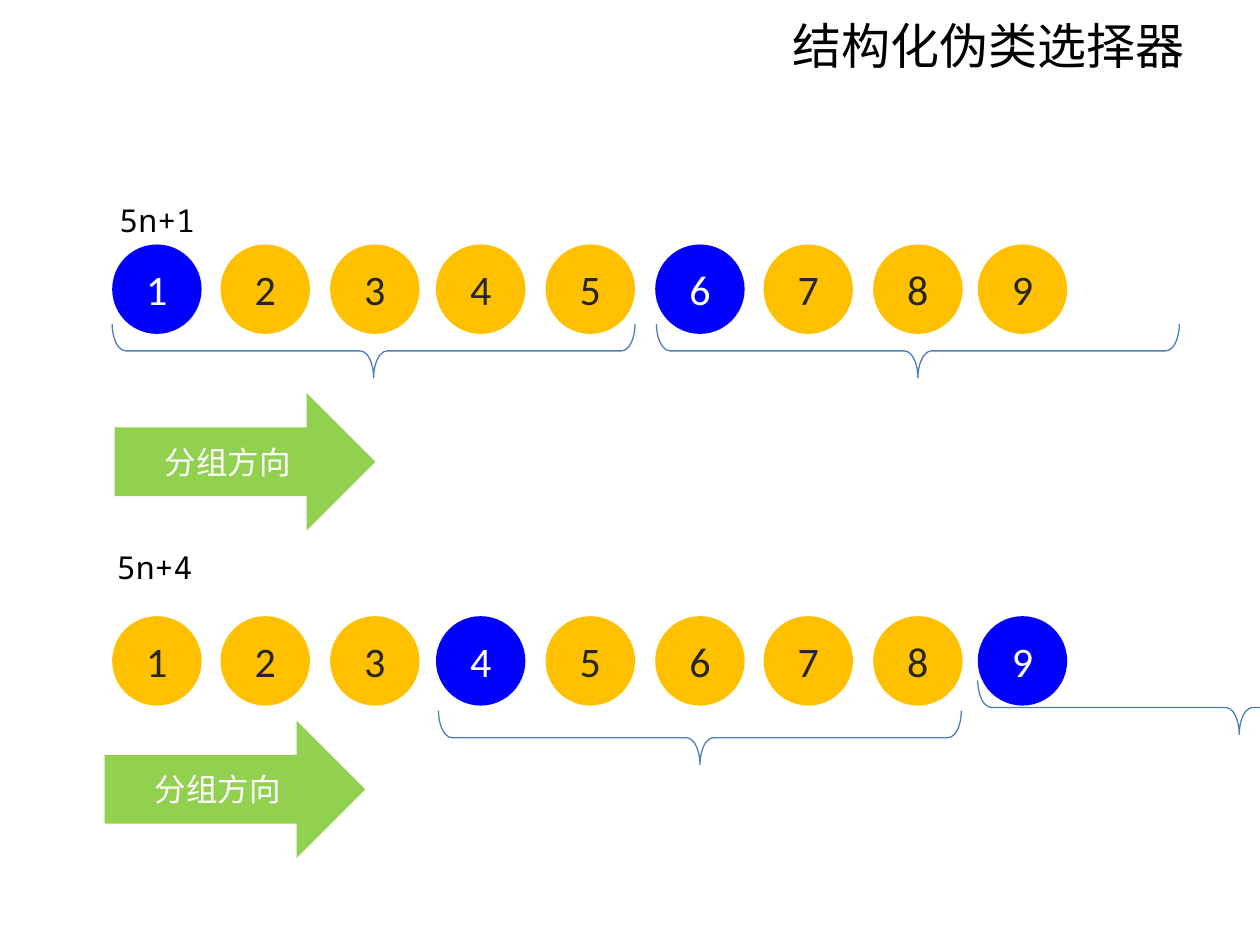
from pptx import Presentation
from pptx.dml.color import RGBColor
from pptx.enum import shapes, text
from pptx.oxml.ns import qn
from pptx.util import Inches, Pt

BLUE, AMBER, GREEN = "0000FF", "FFC000", "92D050"
WHITE, DARK, BLACK, LINE = "FFFFFF", "262626", "000000", "4B7EBC"
SHAPE = shapes.MSO_SHAPE
ALIGN = text.PP_ALIGN
CIRCLE_LEFTS = [0.89, 1.75, 2.62, 3.46, 4.33, 5.2, 6.06, 6.93, 7.76]


def rgb(value):
    return RGBColor.from_string(value)


def write(sp, content, size, font, color, align):
    tf = sp.text_frame
    tf.text = content
    tf.word_wrap = True
    p = tf.paragraphs[0]
    p.alignment = align
    r = p.runs[0]
    r.font.size = Pt(size)
    r.font.name = font
    r.font.color.rgb = rgb(color)
    ea = r._r.get_or_add_rPr().makeelement(qn("a:ea"), {"typeface": "Noto Sans CJK SC"})
    r.font._element.find(qn("a:latin")).addnext(ea)


def add_title(s, content):
    sp = s.shapes.title
    sp.left, sp.top, sp.width, sp.height = map(Inches, (0.5, 0, 9, 0.71))
    write(sp, content, 28, "Noto Sans CJK SC", BLACK, ALIGN.RIGHT)
    sp.text_frame.vertical_anchor = text.MSO_ANCHOR.MIDDLE


def add_filled(s, kind, box, fill, content, size, color):
    sp = s.shapes.add_shape(kind, *map(Inches, box))
    sp.shadow.inherit = False
    sp.fill.solid()
    sp.fill.fore_color.rgb = rgb(fill)
    sp.line.fill.background()
    write(sp, content, size, "Calibri", color, ALIGN.CENTER)
    sp.text_frame.vertical_anchor = text.MSO_ANCHOR.MIDDLE


def add_circles(s, top, selected):
    for number, left in enumerate(CIRCLE_LEFTS, 1):
        fill, color = (BLUE, WHITE) if number in selected else (AMBER, DARK)
        add_filled(s, SHAPE.OVAL, (left, top, 0.71, 0.71), fill, str(number), 24, color)


def add_label(s, left, top, content):
    sp = s.shapes.add_textbox(*map(Inches, (left, top, 2.4, 0.4)))
    write(sp, content, 18, "Noto Sans Mono", BLACK, ALIGN.LEFT)


def add_brace(s, left, top):
    """Add a brace that points down; left and top are those before rotation."""
    sp = s.shapes.add_shape(SHAPE.RIGHT_BRACE, *map(Inches, (left, top, 0.43, 4.15)))
    sp.rotation = 90
    sp.adjustments[0], sp.adjustments[1] = 0.25, 0.5
    sp.shadow.inherit = False
    sp.fill.background()
    sp.line.color.rgb = rgb(LINE)
    sp.line.width = Pt(0.75)


def add_arrow(s, left, top):
    add_filled(s, SHAPE.RIGHT_ARROW, (left, top, 2.07, 1.09), GREEN, "分组方向", 18, WHITE)


def main():
    prs = Presentation()
    prs.slide_width, prs.slide_height = Inches(10), Inches(7.5)
    s = prs.slides.add_slide(prs.slide_layouts[5])
    add_title(s, "结构化伪类选择器")
    groups = [
        (1.94, {1, 6}, (0.85, 1.55, "5n+1"), [(2.75, 0.71), (7.07, 0.71)]),
        (4.89, {4, 9}, (0.83, 4.3, "5n+4"), [(5.34, 3.78), (9.62, 3.54)]),
    ]
    for top, selected, label, braces in groups:
        add_circles(s, top, selected)
        add_label(s, *label)
        for brace in braces:
            add_brace(s, *brace)
    add_arrow(s, 0.83, 5.72)
    add_arrow(s, 0.91, 3.12)
    prs.save("out.pptx")


if __name__ == "__main__":
    main()
